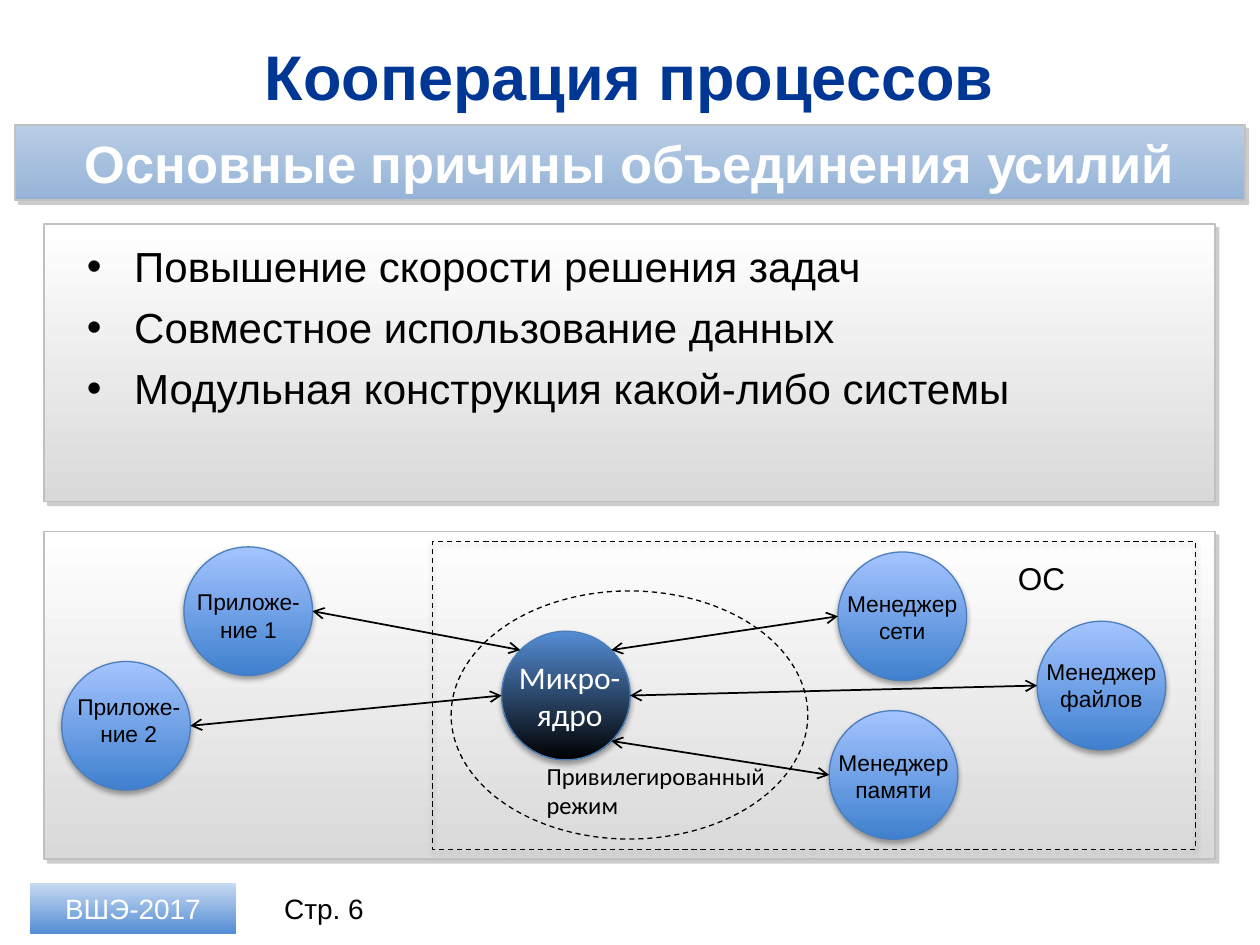
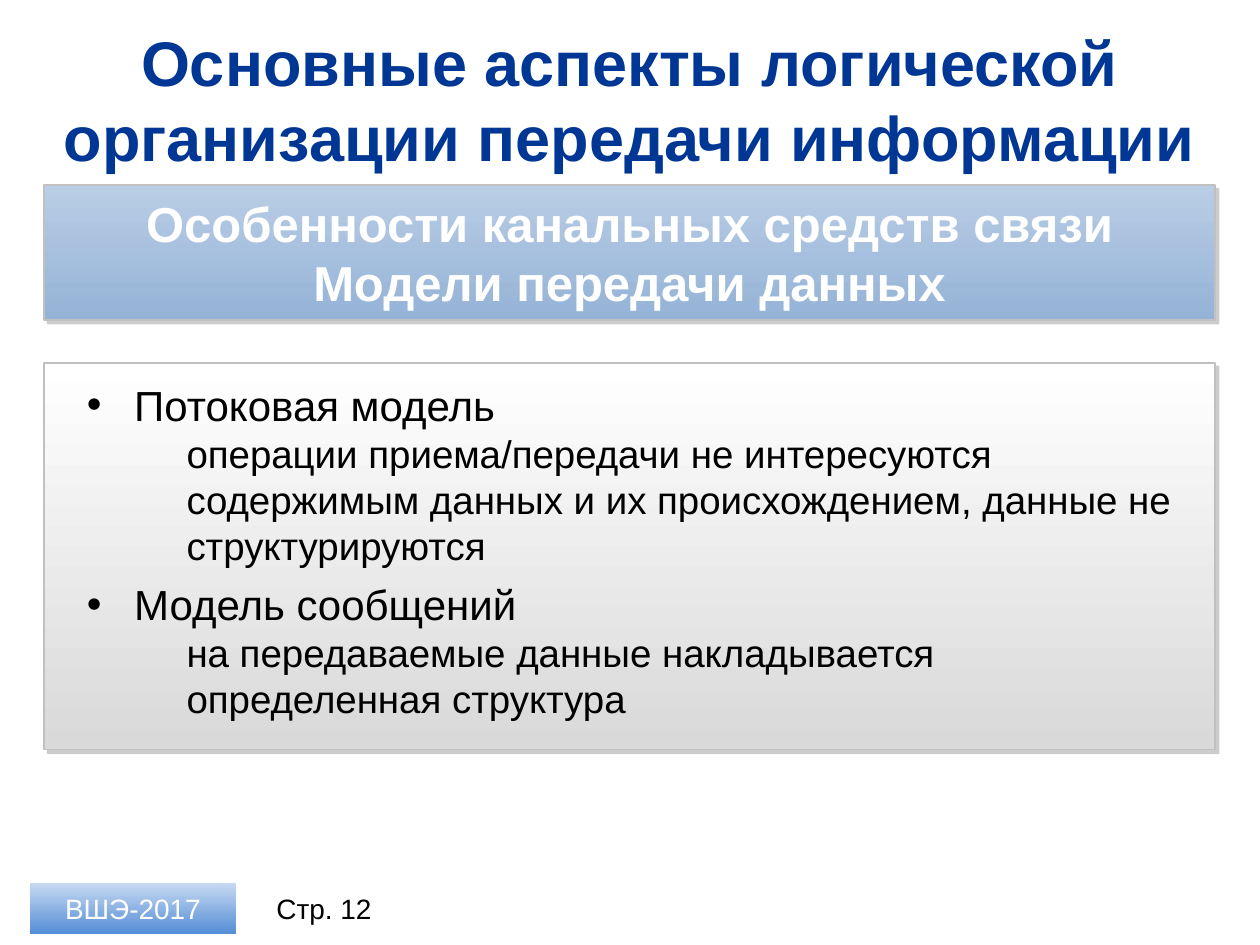
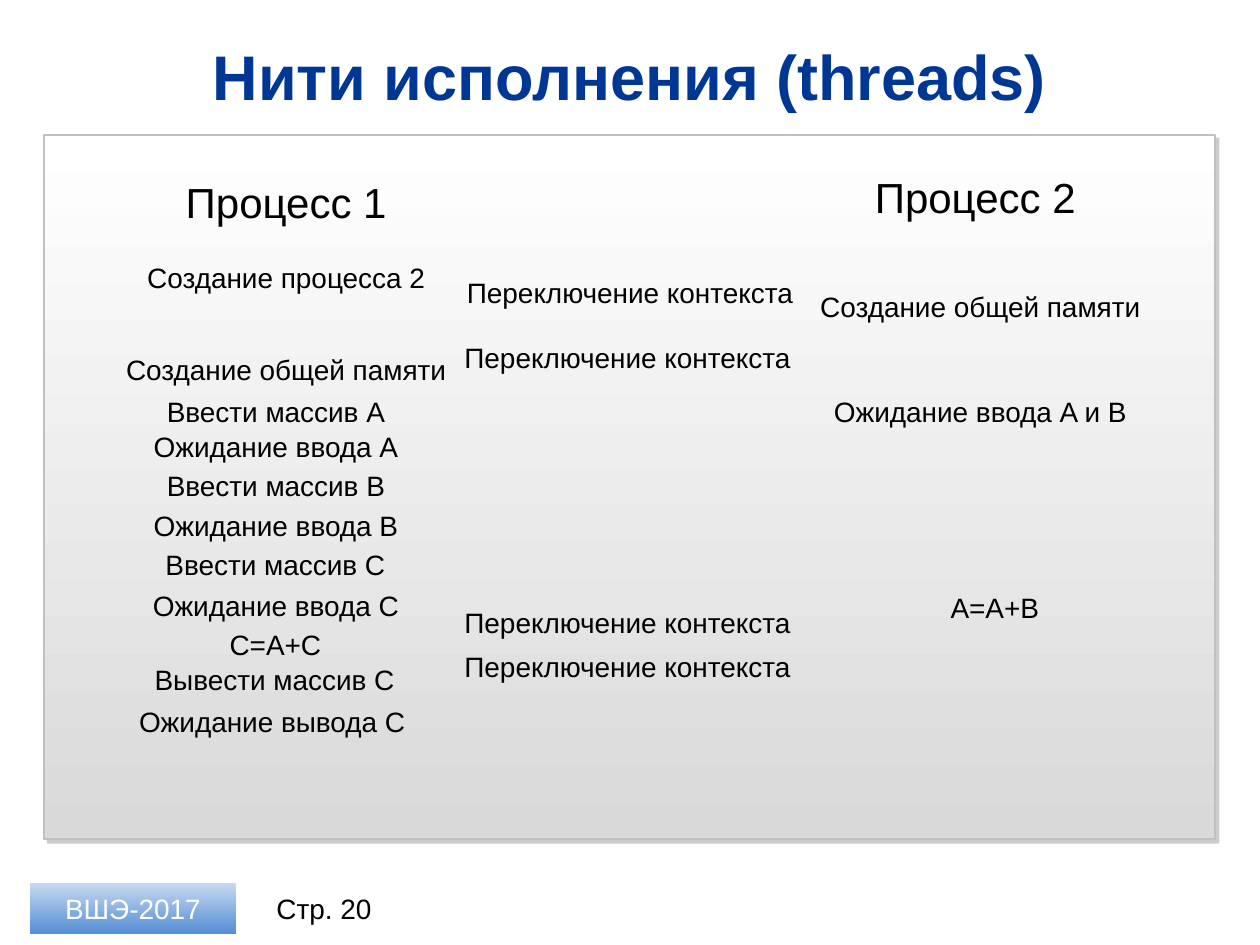
from math import cos, radians, sin

from lxml import etree
from pptx import Presentation
from pptx.dml.color import RGBColor
from pptx.enum.dml import MSO_LINE
from pptx.enum.shapes import MSO_CONNECTOR, MSO_SHAPE
from pptx.enum.text import MSO_ANCHOR, MSO_AUTO_SIZE, PP_ALIGN
from pptx.oxml.ns import qn
from pptx.util import Pt

RECTANGLE, ELLIPSE = MSO_SHAPE.RECTANGLE, MSO_SHAPE.OVAL
STRAIGHT = MSO_CONNECTOR.STRAIGHT
LEFT, CENTER = PP_ALIGN.LEFT, PP_ALIGN.CENTER
TOP, MIDDLE = MSO_ANCHOR.TOP, MSO_ANCHOR.MIDDLE
DASH = MSO_LINE.DASH
NO_AUTOFIT = MSO_AUTO_SIZE.NONE

NAVY = RGBColor(0x00, 0x37, 0x94)
BLACK = RGBColor(0x00, 0x00, 0x00)
WHITE = RGBColor(0xFF, 0xFF, 0xFF)
SILVER = RGBColor(0xC0, 0xC0, 0xC0)
GRAY = RGBColor(0x80, 0x80, 0x80)
CIRCLE_EDGE = RGBColor(0x4B, 0x7E, 0xBC)

# Gradients as (top, bottom)
BADGE_FILL = RGBColor(0xC6, 0xD9, 0xF1), RGBColor(0x55, 0x8E, 0xD5)
BAND_FILL = RGBColor(0xB9, 0xCD, 0xE5), RGBColor(0x95, 0xB3, 0xD7)
PANEL_FILL = WHITE, RGBColor(0xD9, 0xD9, 0xD9)
NODE_FILL = RGBColor(0xA4, 0xC4, 0xFF), RGBColor(0x3F, 0x80, 0xCE)
KERNEL_FILL = RGBColor(0x55, 0x8E, 0xD5), BLACK

# Shadows as (colour, opacity %, blur, distance, direction)
PANEL_SHADOW = GRAY, 40, 0, 3, 45
SOFT_SHADOW = BLACK, 35, 3.1, 1.8, 90

MARGIN, CONTENT_WIDTH = 25.2, 669
CIRCLE_SIZE = 73.5
KERNEL = 286.6, 360.7
# Label, circle position, label position, kernel angle, own angle of the link
NODES = [
    ("Менеджер сети", (478.8, 315.4), (473, 333.4), -45, 180),
    ("Менеджер файлов", (592.6, 355), (586.8, 372.2), 0, 180),
    ("Менеджер памяти", (473.8, 406.1), (468, 424.1), 45, 180),
    ("Приложе-ние 1", (105.1, 312.5), (99.4, 332.6), -135, 0),
    ("Приложе-ние 2", (35.3, 378), (31, 392.4), 180, 0),
]

STEP_WIDTH = 207.4
# Text, left, top, width
STEPS = [
    ("Создание процесса 2", 59.8, 145.4, STEP_WIDTH),
    ("Создание общей памяти", 59.8, 198, STEP_WIDTH),
    ("Ввести массив A", 54, 221.8, STEP_WIDTH),
    ("Ожидание ввода A", 54, 241.9, STEP_WIDTH),
    ("Ввести массив B", 54, 264.2, STEP_WIDTH),
    ("Ожидание ввода B", 54, 287.3, STEP_WIDTH),
    ("Ввести массив C", 45.4, 309.6, 223.9),
    ("Ожидание ввода C", 54, 332.6, STEP_WIDTH),
    ("C=A+C", 82.1, 355, 150.5),
    ("Вывести массив C", 79.2, 375.1, 155.5),
    ("Ожидание вывода C", 70.6, 398.9, 169.9),
    ("Переключение контекста", 256.3, 154.1, STEP_WIDTH),
    ("Переключение контекста", 254.9, 190.8, STEP_WIDTH),
    ("Переключение контекста", 254.9, 342.7, STEP_WIDTH),
    ("Переключение контекста", 254.9, 367.9, STEP_WIDTH),
    ("Создание общей памяти", 456.5, 162, STEP_WIDTH),
    ("Ожидание ввода A и B", 456.5, 221.8, STEP_WIDTH),
    ("A=A+B", 499, 334.1, 139),
]


def place(shape, left, top, width, height):
    shape.left, shape.top = Pt(left), Pt(top)
    shape.width, shape.height = Pt(width), Pt(height)


def style(paragraph, size, color=BLACK, bold=False, font="Arial"):
    paragraph.font.name = font
    paragraph.font.size = Pt(size)
    paragraph.font.bold = bold
    paragraph.font.color.rgb = color


def write(shape, text, size, color=BLACK, align=CENTER, anchor=MIDDLE, **font):
    """Fill a shape with one paragraph for each line of text."""
    frame = shape.text_frame
    frame.text = text
    frame.word_wrap = True
    frame.auto_size = NO_AUTOFIT
    frame.vertical_anchor = anchor
    for paragraph in frame.paragraphs:
        paragraph.alignment = align
        style(paragraph, size, color, **font)


def add_shadow(shape, color, opacity, blur, distance, direction):
    effects = shape._element.spPr.find(qn("a:effectLst"))
    shadow = etree.SubElement(
        effects, qn("a:outerShdw"), blurRad=str(Pt(blur)), dist=str(Pt(distance)),
        dir=str(direction * 60000), algn="ctr", rotWithShape="0")
    shade = etree.SubElement(shadow, qn("a:srgbClr"), val=str(color))
    etree.SubElement(shade, qn("a:alpha"), val=str(opacity * 1000))


def add_figure(slide, kind, box, fill=None, edge=None, width=0.75, dash=None, shadow=None):
    figure = slide.shapes.add_shape(kind, *map(Pt, box))
    figure.shadow.inherit = False
    if fill:
        figure.fill.gradient()
        figure.fill.gradient_angle = 270
        for stop, color in zip(figure.fill.gradient_stops, fill):
            stop.color.rgb = color
    else:
        figure.fill.background()
    if edge is None:
        figure.line.fill.background()
    else:
        figure.line.color.rgb = edge
        figure.line.width = Pt(width)
        figure.line.dash_style = dash
    if shadow:
        add_shadow(figure, *shadow)
    return figure


def add_label(slide, text, box, size, align=CENTER, anchor=TOP, **font):
    label = slide.shapes.add_textbox(*map(Pt, box))
    write(label, text, size, align=align, anchor=anchor, **font)


def add_panel(slide, top, height):
    add_figure(slide, RECTANGLE, (MARGIN, top, CONTENT_WIDTH, height),
               PANEL_FILL, SILVER, 1, shadow=PANEL_SHADOW)


def add_band(slide, text, box, size):
    band = add_figure(slide, RECTANGLE, box, BAND_FILL, SILVER, 1, shadow=PANEL_SHADOW)
    write(band, text, size, WHITE, bold=True)
    frame = band.text_frame
    frame.margin_left = frame.margin_right = Pt(17.3)
    frame.margin_top = frame.margin_bottom = Pt(2.9)


def add_page(deck, layout, title, page, title_height=49):
    """Add a slide with its title, page number and course badge."""
    slide = deck.slides.add_slide(deck.slide_layouts.get_by_name(layout))
    place(slide.shapes.title, MARGIN, 18.7, CONTENT_WIDTH, title_height)
    write(slide.shapes.title, title, 36, NAVY, bold=True)
    add_label(slide, f"Стр. {page}", (146.2, 504.7, 77.8, 28.8), 16, anchor=MIDDLE)
    badge = add_figure(slide, RECTANGLE, (17.3, 504.7, 117.4, 28.8), BADGE_FILL)
    write(badge, "ВШЭ-2017", 16, WHITE)
    return slide


def fill_list(slide, box, items):
    """Write (point, explanation) pairs into the body, in front of its panel."""
    body = slide.placeholders[1]
    slide.shapes._spTree.append(body._element)
    place(body, *box)
    lines = [line for item in items for line in item if line]
    write(body, "\n".join(lines), 24, align=LEFT, anchor=TOP)
    explanations = {explanation for _, explanation in items}
    for index, paragraph in enumerate(body.text_frame.paragraphs):
        explains = paragraph.text in explanations
        paragraph.space_before = Pt(0 if explains or index == 0 else 6)
        if explains:
            paragraph.font.size = Pt(22)
            properties = paragraph._p.get_or_add_pPr()
            properties.set("marL", str(Pt(56.9)))
            properties.set("indent", "0")
            properties.insert_element_before(
                etree.Element(qn("a:buNone")), "a:tabLst", "a:defRPr", "a:extLst")


def circle_point(corner, angle):
    """Return the point of a circle's edge at an angle, clockwise from the right."""
    radius = CIRCLE_SIZE / 2
    left, top = corner
    return (left + radius * (1 + cos(radians(angle))),
            top + radius * (1 + sin(radians(angle))))


def add_two_way_arrow(slide, start, end):
    arrow = slide.shapes.add_connector(STRAIGHT, *map(Pt, start + end))
    arrow.line.color.rgb = BLACK
    arrow.line.width = Pt(1)
    outline = arrow.line._get_or_add_ln()
    for tip in ("a:headEnd", "a:tailEnd"):
        etree.SubElement(outline, qn(tip), type="arrow")
    etree.SubElement(arrow._element.spPr, qn("a:effectLst"))


def add_circle(slide, corner, fill):
    add_figure(slide, ELLIPSE, (*corner, CIRCLE_SIZE, CIRCLE_SIZE),
               fill, CIRCLE_EDGE, shadow=SOFT_SHADOW)


def draw_microkernel(slide):
    add_circle(slide, KERNEL, KERNEL_FILL)
    for _, corner, *_ in NODES:
        add_circle(slide, corner, NODE_FILL)
    add_label(slide, "Микро-\nядро", (286.6, 372.2, 77.8, 51), 18, color=WHITE, font="Calibri")
    add_figure(slide, ELLIPSE, (257.8, 337.7, 203.8, 141.8), edge=BLACK, dash=DASH)
    add_label(slide, "Привилегированный режим", (305.3, 431.3, 158.4, 41), 14,
              LEFT, font="Calibri")
    for name, _, label_corner, *_ in NODES:
        add_label(slide, name, (*label_corner, 85, 38.9), 13)
    add_figure(slide, RECTANGLE, (247, 309.6, 436.3, 175.7), edge=BLACK, dash=DASH,
               shadow=SOFT_SHADOW)
    add_label(slide, "ОС", (574.6, 316.1, 56.9, 28.8), 18, LEFT)
    for _, corner, _, kernel_angle, node_angle in NODES:
        add_two_way_arrow(slide, circle_point(KERNEL, kernel_angle),
                          circle_point(corner, node_angle))


def build_cooperation(deck):
    slide = add_page(deck, "Title and Content", "Кооперация процессов", 6)
    add_band(slide, "Основные причины объединения усилий", (8.6, 71.3, 702.7, 43.2), 30)
    add_panel(slide, 128.2, 158.4)
    fill_list(slide, (42.5, 133.9, 629.3, 106.6), [
        ("Повышение скорости решения задач", None),
        ("Совместное использование данных", None),
        ("Модульная конструкция какой-либо системы", None),
    ])
    add_panel(slide, 303.8, 187.2)
    draw_microkernel(slide)


def build_transfer_models(deck):
    slide = add_page(deck, "Title and Content",
                     "Основные аспекты логической организации передачи информации", 12, 75.6)
    add_band(slide, "Особенности канальных средств связи\nМодели передачи данных",
             (MARGIN, 105.8, CONTENT_WIDTH, 77), 28)
    add_panel(slide, 207.4, 221)
    fill_list(slide, (42.5, 213.1, 640.8, 204.5), [
        ("Потоковая модель",
         "операции приема/передачи не интересуются содержимым данных "
         "и их происхождением, данные не структурируются"),
        ("Модель сообщений",
         "на передаваемые данные накладывается определенная структура"),
    ])


def build_threads(deck):
    slide = add_page(deck, "Title Only", "Нити исполнения (threads)", 20)
    add_panel(slide, 77, 402.5)
    add_label(slide, "Процесс 1", (59.8, 97.2, STEP_WIDTH, 36), 24)
    add_label(slide, "Процесс 2", (453.6, 94.3, STEP_WIDTH, 36), 24)
    for text, left, top, width in STEPS:
        add_label(slide, text, (left, top, width, 26.6), 16)


def main():
    deck = Presentation()
    deck.slide_width, deck.slide_height = Pt(720), Pt(540)
    build_cooperation(deck)
    build_transfer_models(deck)
    build_threads(deck)
    deck.save("out.pptx")


if __name__ == "__main__":
    main()
